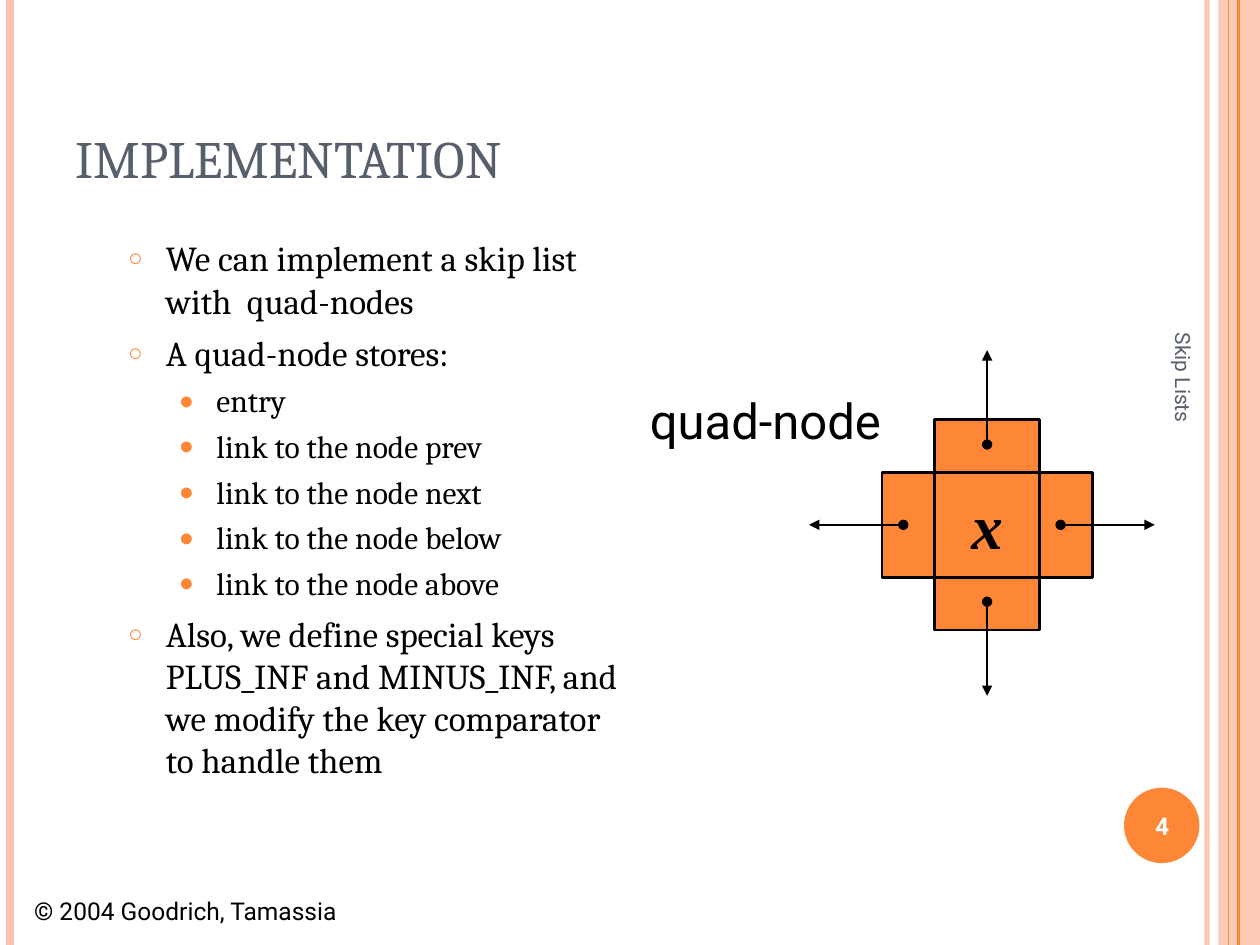
"""Build the quad-node implementation slide of a skip list lecture."""
from lxml.etree import SubElement
from pptx import Presentation
from pptx.dml.color import RGBColor
from pptx.enum.shapes import MSO_CONNECTOR, MSO_SHAPE
from pptx.enum.text import MSO_ANCHOR, MSO_AUTO_SIZE, PP_ALIGN
from pptx.oxml.ns import qn
from pptx.util import Cm, Pt

ORANGE = RGBColor(0xFE, 0x86, 0x37)
PEACH = RGBColor(0xFE, 0xC3, 0xAE)
SLATE = RGBColor(0x57, 0x5F, 0x6D)
BLACK = RGBColor(0, 0, 0)
WHITE = RGBColor(0xFF, 0xFF, 0xFF)

LEVELS = [
    dict(size=20, before=6, left=0.76, char="○", scale=70),
    dict(size=18, before=4.5, left=1.78, char="●", scale=80),
]
HANGING = 0.76
POINTS = [
    (0, "We can implement a skip list with  quad-nodes"),
    (0, "A quad-node stores:"),
    (1, "entry"),
    (1, "link to the node prev"),
    (1, "link to the node next"),
    (1, "link to the node below"),
    (1, "link to the node above"),
    (0, "Also, we define special keys PLUS_INF and MINUS_INF, and we modify "
        "the key comparator to handle them"),
]


def write(p, text, size=12, font="Roboto", color=BLACK, bold=False,
          italic=False, align=PP_ALIGN.LEFT):
    p.alignment = align
    r = p.add_run()
    r.text = text
    r.font.size, r.font.name = Pt(size), font
    r.font.bold, r.font.italic = bold, italic
    r.font.color.rgb = color


def set_alpha(parent, percent):
    for clr in parent.iter(qn("a:srgbClr")):
        SubElement(clr, qn("a:alpha"), val=str(percent * 1000))


def set_bullet(p, left, char, scale):
    pPr = p._p.get_or_add_pPr()
    pPr.set("marL", str(Cm(left)))
    pPr.set("indent", str(-Cm(HANGING)))
    clr = SubElement(pPr, qn("a:buClr"))
    SubElement(clr, qn("a:srgbClr"), val=str(ORANGE))
    SubElement(pPr, qn("a:buSzPct"), val=str(scale * 1000))
    SubElement(pPr, qn("a:buChar"), char=char)


def place(sp, left, top, width, height):
    sp.left, sp.top, sp.width, sp.height = map(Cm, (left, top, width, height))


class Builder:
    def __init__(self, slide, font="Cambria"):
        self.slide, self.shapes, self.font = slide, slide.shapes, font

    def title(self, text, *box):
        sp = self.shapes.title
        place(sp, *box)
        tf = sp.text_frame
        tf.auto_size = MSO_AUTO_SIZE.NONE
        tf.vertical_anchor = MSO_ANCHOR.BOTTOM
        write(tf.paragraphs[0], text, size=30, font=self.font, color=SLATE)

    def body(self, points, *box):
        sp = self.slide.placeholders[1]
        place(sp, *box)
        tf = sp.text_frame
        tf.auto_size = MSO_AUTO_SIZE.NONE
        for i, (level, text) in enumerate(points):
            look = LEVELS[level]
            p = tf.add_paragraph() if i else tf.paragraphs[0]
            p.level = level
            p.space_before = Pt(look["before"])
            set_bullet(p, look["left"], look["char"], look["scale"])
            write(p, text, size=look["size"], font=self.font)

    def text(self, text, *box, anchor=MSO_ANCHOR.TOP, wrap=False, rotation=0,
             **style):
        sp = self.shapes.add_textbox(*map(Cm, box))
        sp.rotation = rotation
        tf = sp.text_frame
        tf.word_wrap, tf.vertical_anchor = wrap, anchor
        write(tf.paragraphs[0], text, **style)

    def shape(self, kind, *box, fill=ORANGE, alpha=100, line=None):
        sp = self.shapes.add_shape(kind, *map(Cm, box))
        sp.shadow.inherit = False
        sp.fill.solid()
        sp.fill.fore_color.rgb = fill
        if alpha < 100:
            set_alpha(sp._element.spPr, alpha)
        if line is None:
            sp.line.fill.background()
        else:
            sp.line.color.rgb, sp.line.width = line, Pt(1.5)
        return sp

    def line(self, *ends, color=BLACK, width=1.5, alpha=100):
        cx = self.shapes.add_connector(MSO_CONNECTOR.STRAIGHT, *map(Cm, ends))
        cx.line.color.rgb, cx.line.width = color, Pt(width)
        SubElement(cx._element.spPr, qn("a:effectLst"))
        if alpha < 100:
            set_alpha(cx._element.spPr, alpha)
        return cx

    def arrow(self, *ends):
        ln = self.line(*ends).line._get_or_add_ln()
        SubElement(ln, qn("a:headEnd"), type="oval")
        SubElement(ln, qn("a:tailEnd"), type="triangle")

    def frame(self, height):
        self.shape(MSO_SHAPE.RECTANGLE, 24.56, 0, 0.84, height, fill=PEACH, alpha=87)
        for x, color, width, alpha in [(24.33, PEACH, 3, 93), (0.2, PEACH, 4.5, 100),
                                       (24.97, ORANGE, 1.5, 100),
                                       (24.77, ORANGE, 0.75, 100)]:
            self.line(x, 0, x, height, color=color, width=width, alpha=alpha)

    def quad_node(self, x, y, size, label):
        half = size / 2
        plus = self.shape(MSO_SHAPE.CROSS, x - half, y - half, size, size, line=BLACK)
        plus.adjustments[0] = 0.25
        core = self.shape(MSO_SHAPE.RECTANGLE, x - half / 2, y - half / 2, half, half,
                          line=BLACK)
        tf = core.text_frame
        tf.word_wrap, tf.vertical_anchor = False, MSO_ANCHOR.MIDDLE
        write(tf.paragraphs[0], label, size=36, font="Times New Roman", bold=True,
              italic=True, align=PP_ALIGN.CENTER)
        length = 1.9
        for dx, dy, start in [(1, 0, 1.48), (-1, 0, 1.69), (0, -1, 1.62), (0, 1, 1.55)]:
            end = start + length
            self.arrow(x + dx * start, y + dy * start, x + dx * end, y + dy * end)


def main():
    prs = Presentation()
    prs.slide_width, prs.slide_height = Cm(25.4), Cm(19.05)
    s = Builder(prs.slides.add_slide(prs.slide_layouts[1]))
    s.frame(19.05)
    s.title("IMPLEMENTATION", 1.27, 0.76, 20.75, 3.18)
    s.body(POINTS, 2.33, 4.65, 10.6, 12.07)
    s.text("© 2004 Goodrich, Tamassia", 0.3, 17.93, 6.88, 0.86, size=14,
           align=PP_ALIGN.CENTER)
    s.text("Skip Lists", 19.41, 10.39, 8.89, 1.02, anchor=MSO_ANCHOR.MIDDLE,
           wrap=True, rotation=90, color=SLATE)
    s.shape(MSO_SHAPE.OVAL, 22.66, 15.88, 1.52, 1.52)
    s.text("4", 22.58, 15.93, 1.7, 1.45, anchor=MSO_ANCHOR.MIDDLE, wrap=True,
           size=14, color=WHITE, bold=True, align=PP_ALIGN.CENTER)
    s.quad_node(19.9, 10.58, 4.24, "x")
    s.text("quad-node", 12.65, 7.75, 5.56, 1.45, size=28, align=PP_ALIGN.CENTER)
    prs.save("out.pptx")


if __name__ == "__main__":
    main()
